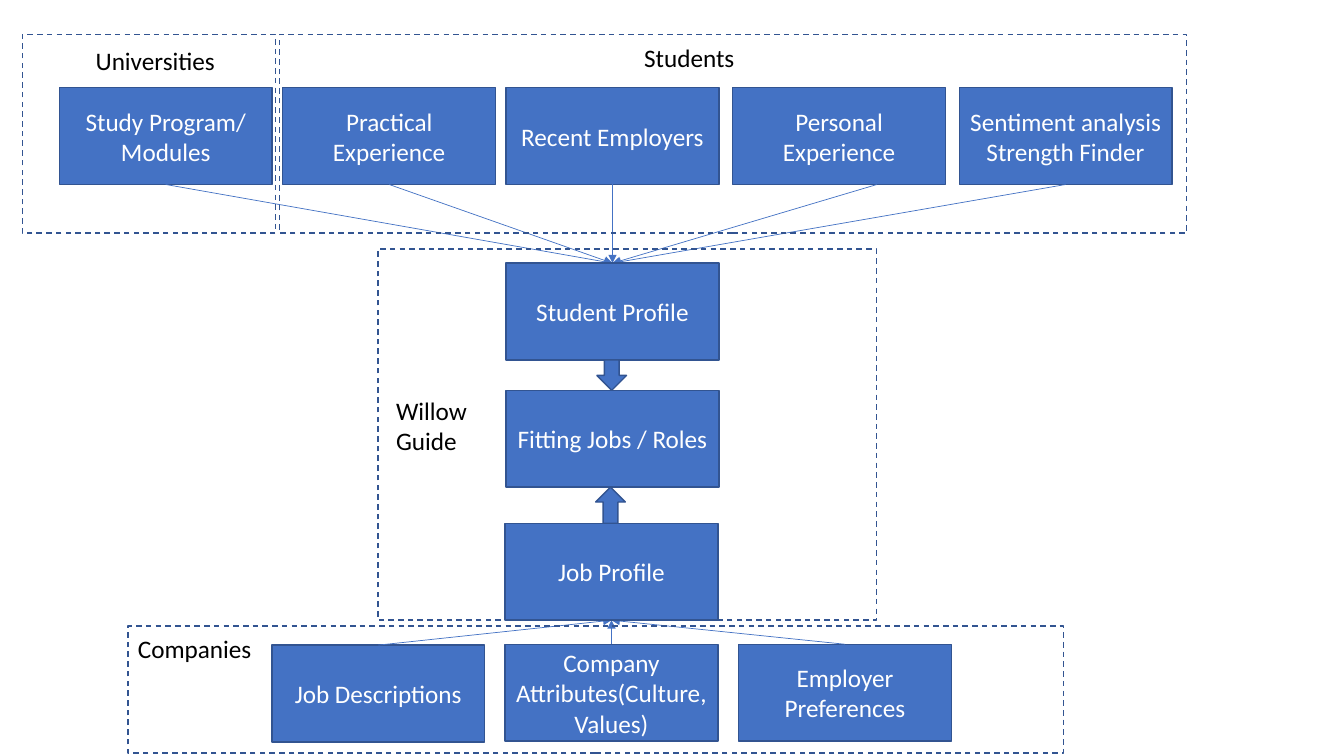
from lxml import etree
from pptx import Presentation
from pptx.dml.color import RGBColor
from pptx.enum.dml import MSO_LINE_DASH_STYLE as Dash
from pptx.enum.shapes import MSO_CONNECTOR as Connector, MSO_SHAPE as Preset
from pptx.enum.text import MSO_ANCHOR as Anchor, MSO_AUTO_SIZE as AutoSize, PP_ALIGN as Align
from pptx.oxml.ns import qn
from pptx.util import Pt

BOX_WIDTH, BOX_HEIGHT = 152, 69.2
BLUE, DARK_BLUE, WHITE, BLACK = "4472C4", "325491", "FFFFFF", "000000"


def colour(value):
    return RGBColor.from_string(value)


def apply(target, formats):
    for name, value in formats.items():
        setattr(target, name, value)


class Diagram:
    """Holds the style and the current slide of a box-and-arrow diagram."""

    font = {"name": "Calibri", "size": Pt(18)}
    box_frame = {"word_wrap": True, "vertical_anchor": Anchor.MIDDLE}
    label_frame = {"word_wrap": True, "auto_size": AutoSize.SHAPE_TO_FIT_TEXT}

    def __init__(self, slide):
        self.slide = slide

    def fill_text(self, frame, text, text_colour, alignment):
        frame.text = text
        for paragraph in frame.paragraphs:
            paragraph.alignment = alignment
            apply(paragraph.font, self.font)
            paragraph.font.color.rgb = colour(text_colour)

    def shape(self, preset, left, top, width, height):
        shape = self.slide.shapes.add_shape(preset, Pt(left), Pt(top), Pt(width), Pt(height))
        shape.shadow.inherit = False
        shape.fill.solid()
        shape.fill.fore_color.rgb = colour(BLUE)
        shape.line.color.rgb = colour(DARK_BLUE)
        shape.line.width = Pt(1)
        return shape

    def box(self, text, left, top):
        shape = self.shape(Preset.RECTANGLE, left, top, BOX_WIDTH, BOX_HEIGHT)
        apply(shape.text_frame, self.box_frame)
        self.fill_text(shape.text_frame, text, WHITE, Align.CENTER)

    def frame(self, left, top, width, height):
        shape = self.shape(Preset.RECTANGLE, left, top, width, height)
        shape.fill.background()
        shape.line.dash_style = Dash.DASH

    def label(self, text, left, top, height=29):
        shape = self.slide.shapes.add_textbox(Pt(left), Pt(top), Pt(140.4), Pt(height))
        apply(shape.text_frame, self.label_frame)
        self.fill_text(shape.text_frame, text, BLACK, Align.LEFT)

    def arrow(self, start, end):
        points = [Pt(value) for value in (*start, *end)]
        connector = self.slide.shapes.add_connector(Connector.STRAIGHT, *points)
        connector.line.color.rgb = colour(BLUE)
        connector.line.width = Pt(0.5)
        properties = connector.element.spPr
        etree.SubElement(properties.find(qn("a:ln")), qn("a:tailEnd"), type="triangle")
        etree.SubElement(properties, qn("a:effectLst"))


def main():
    presentation = Presentation()
    apply(presentation, {"slide_width": Pt(960), "slide_height": Pt(540)})
    diagram = Diagram(presentation.slides.add_slide(presentation.slide_layouts[6]))

    middle_left, job_left = 361.5, 360.8
    source_top, student_top, fitting_top, job_top = 62.6, 188, 278.8, 373.8
    centre = BOX_WIDTH / 2

    student_sources = [
        ("Study Program/ Modules", 42.4, 0),
        ("Practical Experience", 202, 0),
        ("Recent Employers", middle_left, 0),
        ("Personal Experience", 523.4, 27),
        ("Sentiment analysis Strength Finder", 685.2, 0),
    ]
    for text, left, shift in student_sources:
        diagram.box(text, left, source_top)
        diagram.arrow((left + centre + shift, source_top + BOX_HEIGHT),
                      (middle_left + centre, student_top))

    company_sources = [
        ("Job Descriptions", 194.2, 460.8),
        ("Company Attributes(Culture, Values)", job_left, 460.2),
        ("Employer Preferences", 527.6, 460.2),
    ]
    for text, left, top in company_sources:
        diagram.box(text, left, top)
        diagram.arrow((left + centre, top), (job_left + centre, job_top + BOX_HEIGHT))

    diagram.box("Student Profile", middle_left, student_top)
    diagram.box("Fitting Jobs / Roles", middle_left, fitting_top)
    diagram.box("Job Profile", job_left, job_top)
    diagram.shape(Preset.DOWN_ARROW, 426.4, 257.2, 21.2, 21.6)
    diagram.shape(Preset.UP_ARROW, 425.5, 348, 21.2, 25.8)

    for area in [(15.9, 24.6, 181, 142), (199.5, 24.6, 648, 142),
                 (270, 178, 356, 265), (91.4, 447.3, 668.2, 90.7)]:
        diagram.frame(*area)

    diagram.label("Universities", 61.2, 29)
    diagram.label("Students", 453, 26.8)
    diagram.label("Willow\nGuide", 275.8, 278.8, 51)
    diagram.label("Companies", 91.4, 448.8)

    presentation.save("out.pptx")


if __name__ == "__main__":
    main()
